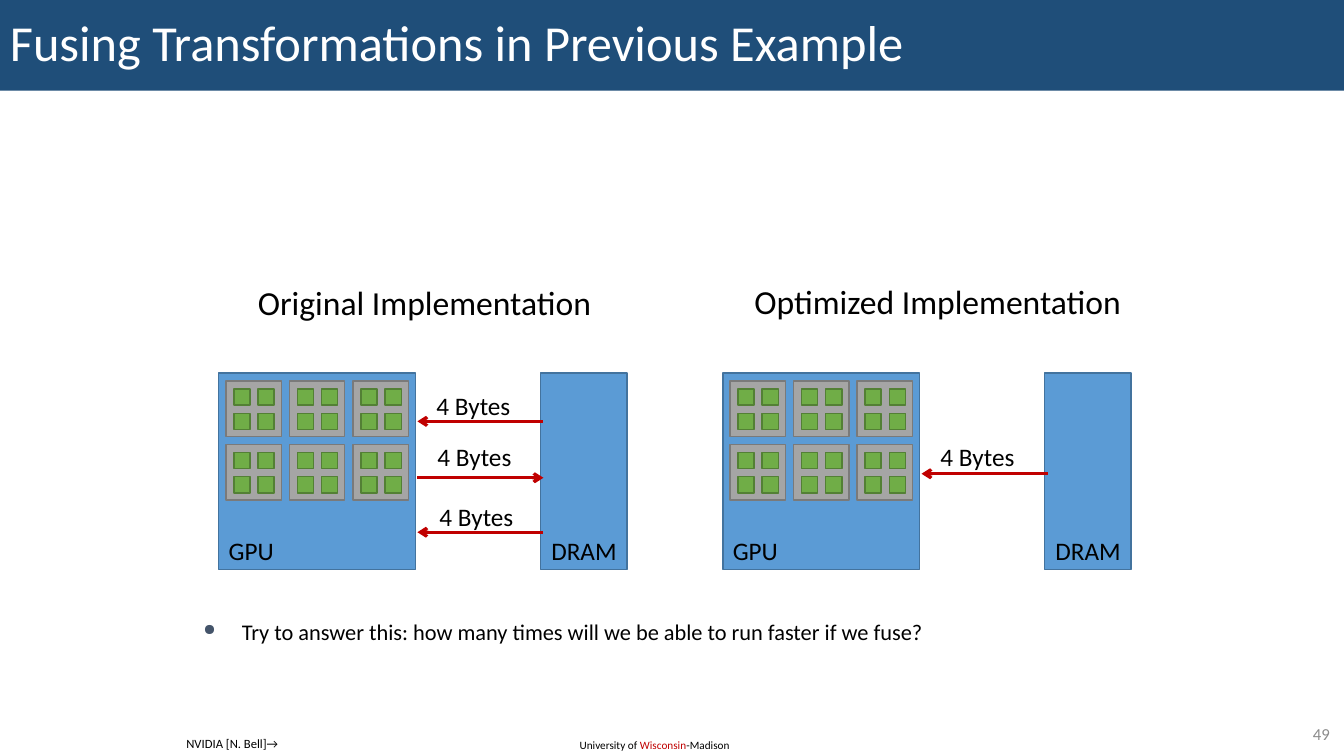
import itertools

import pptx
import pptx.dml.color
import pptx.enum.shapes
import pptx.enum.text
import pptx.oxml
import pptx.oxml.ns
import pptx.util
from pptx.util import Inches

ALIGN = pptx.enum.text.PP_ALIGN
ANCHOR = pptx.enum.text.MSO_ANCHOR
SHAPE = pptx.enum.shapes.MSO_SHAPE
STRAIGHT = pptx.enum.shapes.MSO_CONNECTOR.STRAIGHT
FIT = pptx.enum.text.MSO_AUTO_SIZE.SHAPE_TO_FIT_TEXT
NS = pptx.oxml.ns.nsdecls("a")

THEME = {
    "font": "Calibri",
    "color": {
        "title_bar": "1F4E79", "white": "FFFFFF", "text": "000000",
        "number": "8C8C8C", "red": "C00000", "bullet": "44546A",
        "chip": "5B9BD5", "chip_line": "43739E",
        "tile": "A5A5A5", "tile_line": "7A7A7A",
        "core": "70AD47", "core_line": "538035",
    },
    "size": {"title": 36, "heading": 24, "label": 18, "body": 16,
             "number": 12, "credit": 9, "footer": 8},
}


def rgb(name):
    return pptx.dml.color.RGBColor.from_string(THEME["color"][name])


def add_text(x, y, w, h, runs, size, wrap=False, align=ALIGN.LEFT,
             anchor=ANCHOR.TOP, fit=True):
    """Add a text box of one paragraph; runs are (text, colour name) pairs."""
    tf = s.shapes.add_textbox(Inches(x), Inches(y), Inches(w), Inches(h)).text_frame
    frame_format = {"word_wrap": wrap, "vertical_anchor": anchor}
    if fit:
        frame_format["auto_size"] = FIT
    for name, value in frame_format.items():
        setattr(tf, name, value)
    p = tf.paragraphs[0]
    p.alignment = align
    for text, color in runs:
        r = p.add_run()
        r.text = text
        font_format = {"name": THEME["font"], "size": pptx.util.Pt(THEME["size"][size])}
        for name, value in font_format.items():
            setattr(r.font, name, value)
        r.font.color.rgb = rgb(color)
    return p


prs = pptx.Presentation()
prs.slide_width, prs.slide_height = Inches(13.33), Inches(7.5)
s = prs.slides.add_slide(prs.slide_layouts[6])

# Title bar, footer and slide number
bar = s.shapes.add_shape(SHAPE.RECTANGLE, 0, 0, Inches(13.33), Inches(0.9))
bar.shadow.inherit = False
bar.fill.solid()
bar.fill.fore_color.rgb = rgb("title_bar")
bar.line.fill.background()
title = add_text(0, 0, 13.33, 0.9, [("Fusing Transformations in Previous Example", "white")],
                 "title", wrap=True, anchor=ANCHOR.MIDDLE, fit=False)
title.line_spacing = 0.9
add_text(5.65, 7.28, 1.72, 0.24,
         [("University of ", "text"), ("Wisconsin", "red"), ("-Madison", "text")],
         "footer", wrap=True)
add_text(12.53, 7.13, 0.76, 0.29, [("49", "number")], "number", wrap=True,
         align=ALIGN.RIGHT, anchor=ANCHOR.MIDDLE, fit=False)
add_text(1.75, 7.25, 1.11, 0.25, [("NVIDIA [N. Bell]→", "text")], "credit")

# Headings: text, left, top, width
for text, x, y, w in [("Original Implementation", 2.44, 2.75, 3.54),
                      ("Optimized Implementation", 7.36, 2.74, 3.88)]:
    add_text(x, y, w, 0.5, [(text, "text")], "heading", align=ALIGN.CENTER)

# Transfers of each diagram: label left offset, label top, arrow height, arrowhead
# (headEnd points at the GPU, tailEnd at the DRAM)
diagrams = [
    (2.17, [(2.06, 3.82, 4.18, "headEnd"),
            (2.07, 4.33, 4.74, "tailEnd"),
            (2.09, 4.92, 5.28, "headEnd")]),
    (7.17, [(2.06, 4.33, 4.7, "headEnd")]),
]
chip_top, tile_pitch, core_pitch = 3.7, 0.63, 0.24

for left, transfers in diagrams:
    boxes = [("chip", left, chip_top, 1.95, 1.95),
             ("chip", left + 3.19, chip_top, 0.86, 1.95)]
    for row, col in itertools.product(range(2), range(3)):
        tile_x = left + 0.07 + col * tile_pitch
        tile_y = chip_top + 0.08 + row * tile_pitch
        boxes.append(("tile", tile_x, tile_y, 0.55, 0.55))
        for core_row, core_col in itertools.product(range(2), repeat=2):
            boxes.append(("core", tile_x + 0.08 + core_col * core_pitch,
                          tile_y + 0.08 + core_row * core_pitch, 0.16, 0.16))
    for kind, x, y, w, h in boxes:
        sp = s.shapes.add_shape(SHAPE.RECTANGLE, Inches(x), Inches(y), Inches(w), Inches(h))
        sp.shadow.inherit = False
        sp.fill.solid()
        sp.fill.fore_color.rgb = rgb(kind)
        sp.line.color.rgb = rgb(kind + "_line")
        sp.line.width = pptx.util.Pt(1)

    add_text(left, 5.26, 0.65, 0.4, [("GPU", "text")], "label")
    add_text(left + 3.2, 5.26, 0.86, 0.4, [("DRAM", "text")], "label")

    for label_dx, label_y, y, arrowhead in transfers:
        add_text(left + label_dx, label_y, 0.94, 0.4, [("4 Bytes", "text")], "label")
        arrow = s.shapes.add_connector(STRAIGHT, Inches(left + 1.97), Inches(y),
                                       Inches(left + 3.22), Inches(y))
        arrow.line.color.rgb = rgb("red")
        arrow.line.width = pptx.util.Pt(2.25)
        arrow.line._get_or_add_ln().append(
            pptx.oxml.parse_xml(f'<a:{arrowhead} {NS} type="arrow"/>'))
        arrow._element.spPr.append(pptx.oxml.parse_xml(f"<a:effectLst {NS}/>"))

# Closing question
question = add_text(
    1.92, 6.08, 9.5, 0.46,
    [("Try to answer this: how many times will we be able to run faster if we fuse?", "text")],
    "body", wrap=True, fit=False)
pPr = question._p.get_or_add_pPr()
pPr.set("marL", str(Inches(0.38)))
pPr.set("indent", str(Inches(-0.38)))
for xml in [f'<a:buClr {NS}><a:srgbClr val="{THEME["color"]["bullet"]}"/></a:buClr>',
            f'<a:buSzPct {NS} val="70000"/>',
            f'<a:buChar {NS} char="●"/>']:
    pPr.append(pptx.oxml.parse_xml(xml))

prs.save("out.pptx")
